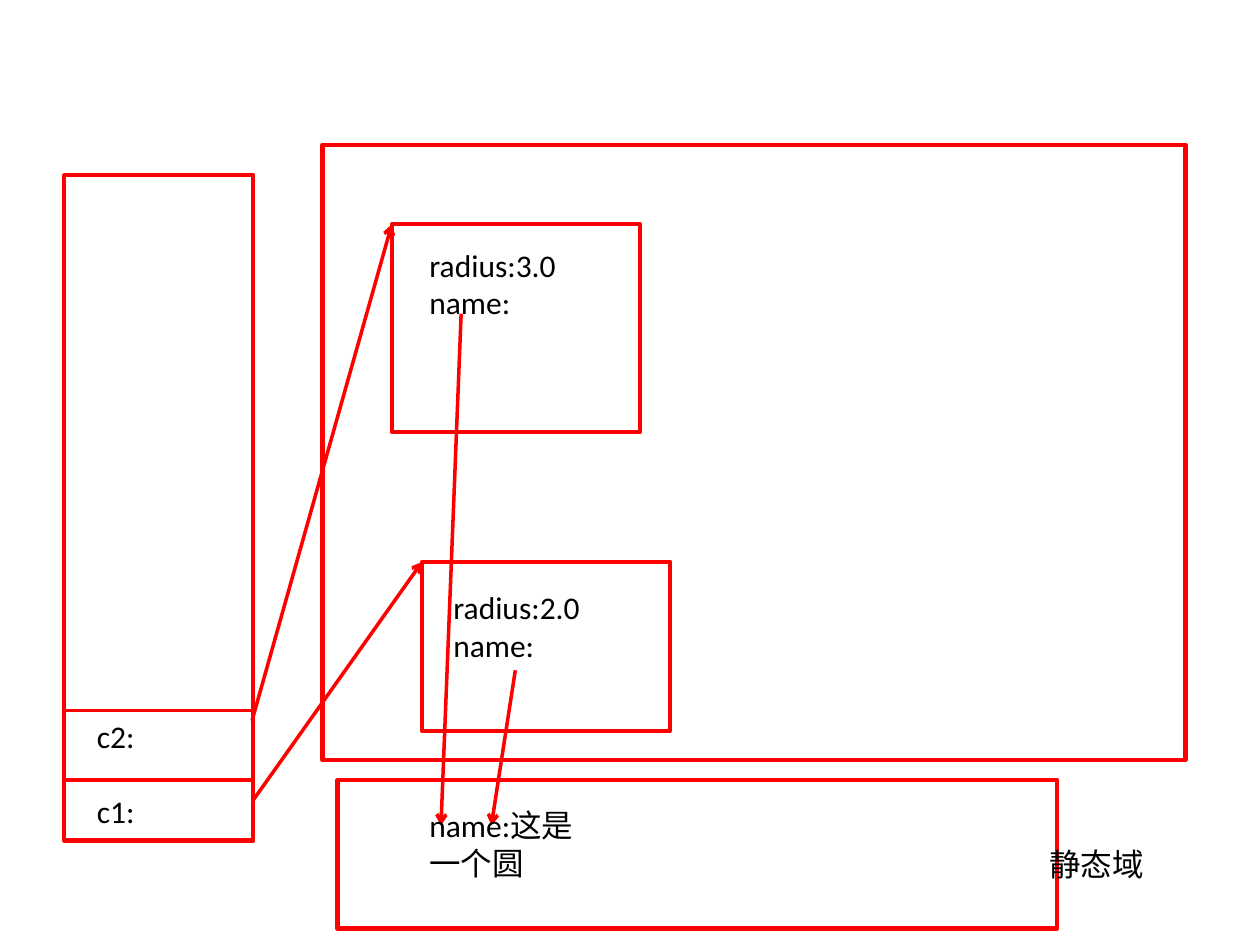
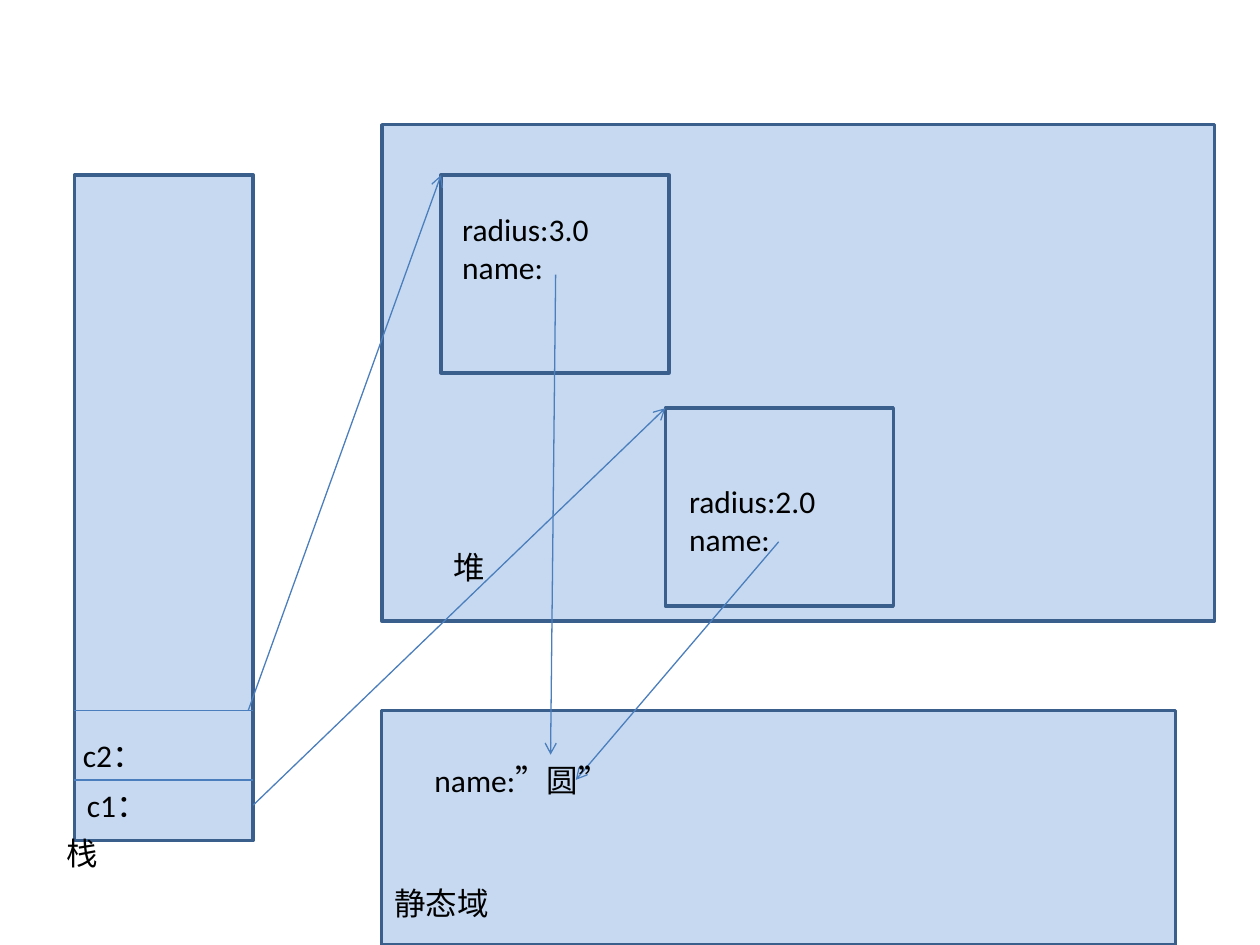
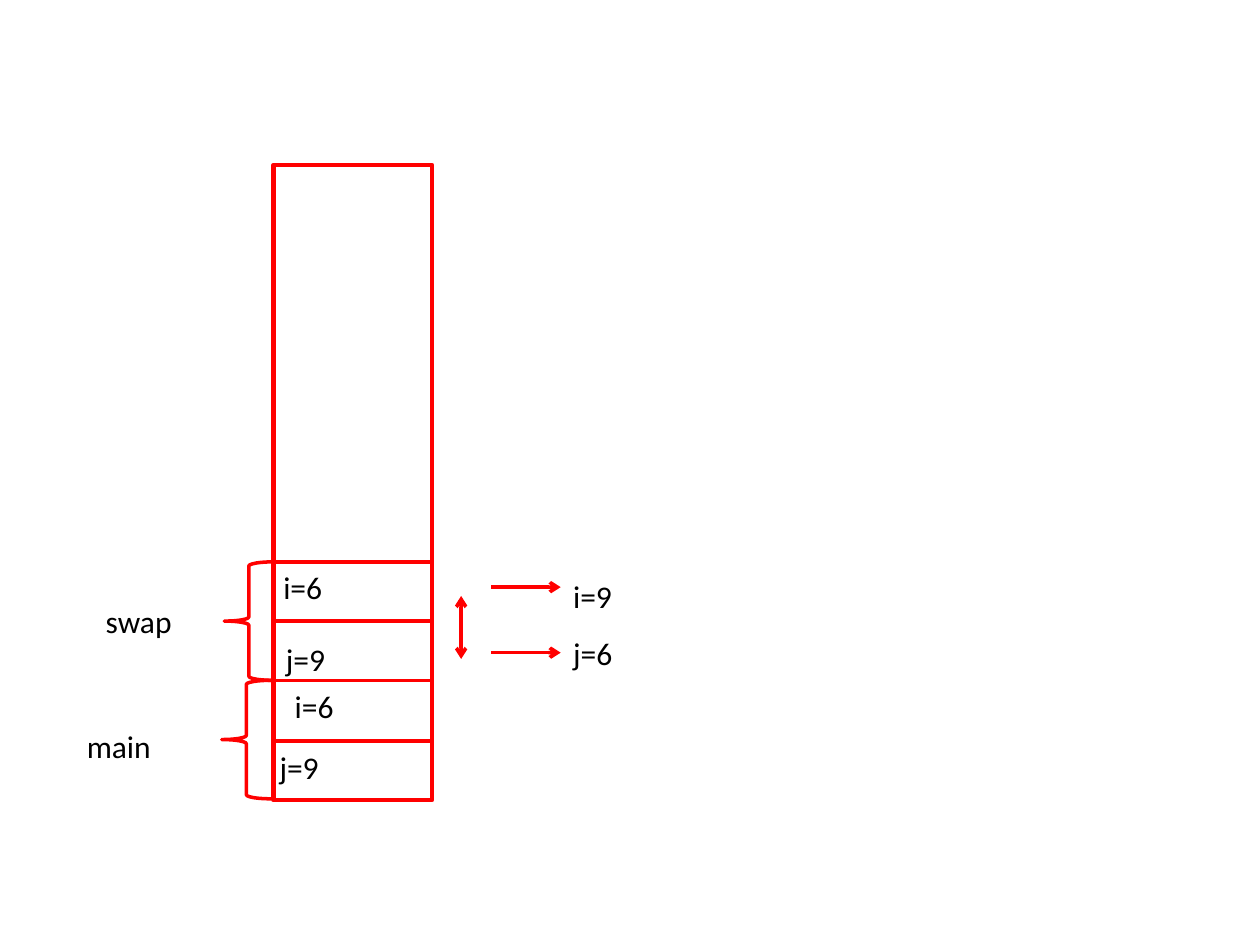
from lxml import etree
from pptx import Presentation
from pptx.dml.color import RGBColor
from pptx.enum import shapes, text
from pptx.oxml import ns
from pptx.util import Inches, Pt

RED = RGBColor(0xFF, 0x00, 0x00)
PALE = RGBColor(0xC6, 0xD9, 0xF1)
NAVY = RGBColor(0x3A, 0x5F, 0x8C)
BLUE = RGBColor(0x4B, 0x7E, 0xBC)
BLACK = RGBColor(0x00, 0x00, 0x00)
RECT = shapes.MSO_SHAPE.RECTANGLE
BRACE = shapes.MSO_SHAPE.LEFT_BRACE

# Look of each diagram: box fill, box line, connector line
plain = dict(fill=None, edge=RED, thick=2.5, wire=RED, thin=2)
tinted = dict(fill=PALE, edge=NAVY, thick=2, wire=BLUE, thin=0.75)

# Slide 1: two circles on the heap share one static name
static = dict(
    look=plain,
    boxes=[
        (0.51, 1.39, 1.5, 5.28),
        (2.56, 1.15, 6.85, 4.88),
        (3.11, 1.78, 1.97, 1.65),
        (3.35, 4.46, 1.97, 1.34),
        (2.68, 6.19, 5.71, 1.18),
    ],
    braces=[],
    rows=(0.51, 2.01, [6.19, 5.64]),
    arrows=[
        (2.01, 6.35, 3.35, 4.46),
        (2, 5.72, 3.11, 1.78),
        (3.66, 2.49, 3.5, 6.55),
        (4.09, 5.32, 3.9, 6.55),
    ],
    swaps=[],
    words=[
        (0.67, 5.64, 1.1, 1.01, 21.5, "c2:\nc1:"),
        (3.5, 4.62, 1.57, 0.71, 0, "radius:2.0\nname:"),
        (3.31, 1.9, 1.57, 0.71, 0, "radius:3.0\nname:"),
        (8.23, 6.66, 1.18, 0.4, 0, "静态域"),
        (3.31, 6.35, 1.46, 0.71, 0, "name:这是一个圆"),
    ],
)

# Slide 2: the same memory with stack, heap and static area labelled
areas = dict(
    look=tinted,
    boxes=[
        (0.59, 1.39, 1.42, 5.28),
        (3.03, 0.99, 6.61, 3.94),
        (3.03, 5.64, 6.3, 1.86),
        (3.5, 1.39, 1.81, 1.57),
        (5.28, 3.24, 1.81, 1.57),
    ],
    braces=[],
    rows=(0.59, 2.01, [6.19, 5.64]),
    arrows=[
        (2.01, 6.39, 5.28, 3.24),
        (1.97, 5.64, 3.5, 1.39),
        (4.41, 2.18, 4.37, 5.99),
        (6.18, 4.3, 4.57, 6.19),
    ],
    swaps=[],
    words=[
        (0.43, 6.57, 1.73, 0.4, 0, "栈"),
        (3.5, 4.3, 1.81, 0.4, 0, "堆"),
        (3.03, 6.97, 1.5, 0.4, 0, "静态域"),
        (0.59, 6.19, 1.42, 0.4, 0, "c1："),
        (0.56, 5.79, 1.42, 0.4, 0, "c2："),
        (5.37, 3.78, 1.61, 0.71, 0, "radius:2.0\nname:"),
        (3.57, 1.62, 1.61, 0.71, 0, "radius:3.0\nname:"),
        (3.35, 5.99, 2.44, 0.4, 0, "name:”圆”"),
    ],
)

# Slide 3: stack frames of main and swap
frames = dict(
    look=plain,
    boxes=[(2.17, 1.31, 1.26, 5.04)],
    braces=[(1.76, 5.4, 0.39, 0.94), (1.78, 4.46, 0.39, 0.94)],
    rows=(2.17, 3.43, [5.88, 5.4, 4.93, 4.46]),
    arrows=[(3.9, y, 4.45, y) for y in (4.66, 5.18)],
    swaps=[(3.66, 4.73, 3.66, 5.23)],
    words=[
        (0.59, 5.72, 1.02, 0.4, 0, "main"),
        (0.74, 4.73, 1.02, 0.4, 0, "swap"),
        (2.24, 5.4, 1.18, 0.4, 0, "i=6"),
        (2.12, 5.89, 1.18, 0.4, 0, "j=9"),
        (2.15, 4.46, 1.18, 0.4, 0, "i=6"),
        (2.17, 5.03, 1.18, 0.4, 0, "j=9"),
        (4.45, 4.53, 1.18, 0.4, 0, "i=9"),
        (4.45, 4.98, 1.18, 0.4, 0, "j=6"),
    ],
)

deck = Presentation()
deck.slide_width, deck.slide_height = Inches(10), Inches(7.5)
style = dict(name="Calibri", size=Pt(18))

for plan in (static, areas, frames):
    slide = deck.slides.add_slide(deck.slide_layouts[6])
    look = plan["look"]

    # Memory boxes and braces
    outlines = [(RECT, box, look["thick"]) for box in plan["boxes"]]
    outlines += [(BRACE, box, look["thin"]) for box in plan["braces"]]
    for kind, box, width in outlines:
        shape = slide.shapes.add_shape(kind, *map(Inches, box))
        shape.shadow.inherit = False
        if look["fill"] is None:
            shape.fill.background()
        else:
            shape.fill.solid()
            shape.fill.fore_color.rgb = look["fill"]
        shape.line.color.rgb = look["edge"]
        shape.line.width = Pt(width)

    # Row dividers, pointers and the two-way swap arrow
    left, right, levels = plan["rows"]
    wires = [((left, y, right, y), []) for y in levels]
    wires += [(ends, ["tailEnd"]) for ends in plan["arrows"]]
    wires += [(ends, ["headEnd", "tailEnd"]) for ends in plan["swaps"]]
    for ends, tips in wires:
        wire = slide.shapes.add_connector(
            shapes.MSO_CONNECTOR.STRAIGHT, *map(Inches, ends))
        wire.line.color.rgb = look["wire"]
        wire.line.width = Pt(look["thin"])
        for tip in tips:
            etree.SubElement(wire.line._ln, ns.qn("a:" + tip), type="arrow")
        etree.SubElement(wire._element.spPr, ns.qn("a:effectLst"))

    # Labels
    for x, y, w, h, gap, words in plan["words"]:
        label = slide.shapes.add_textbox(*map(Inches, (x, y, w, h)))
        frame = label.text_frame
        frame.text = words
        frame.word_wrap = True
        frame.auto_size = text.MSO_AUTO_SIZE.SHAPE_TO_FIT_TEXT
        for para in frame.paragraphs:
            font = para.runs[0].font
            for key, value in style.items():
                setattr(font, key, value)
            font.color.rgb = BLACK
        if gap:
            frame.paragraphs[-1].space_before = Pt(gap)

deck.save("out.pptx")
